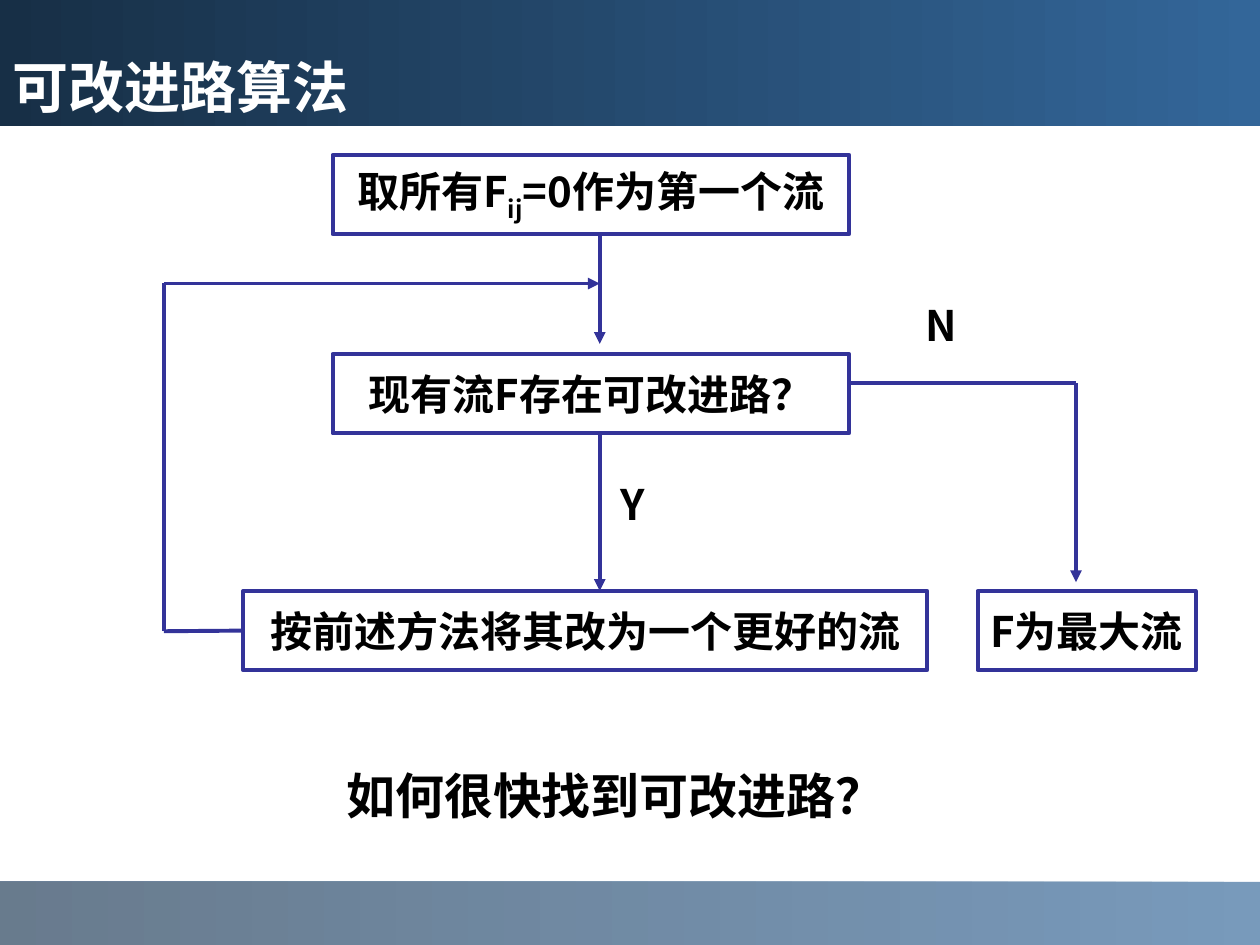
from dataclasses import dataclass

from lxml import etree
from pptx import Presentation
from pptx import util as u
from pptx.dml.color import RGBColor
from pptx.enum import shapes, text
from pptx.oxml.ns import qn


@dataclass(frozen=True)
class Theme:
    line: str = "333399"
    ink: str = "000000"
    white: str = "FFFFFF"
    blue: str = "336699"
    navy: str = "172F46"
    foot: str = "1B3753"
    head: str = "Lato"
    body: str = "Noto Sans CJK SC"
    serif: str = "Times New Roman"
    big: int = 32
    mid: int = 28
    base: int = 24
    width: float = 2.25


def rgb(code):
    return RGBColor.from_string(code)


class Deck:
    """Holds the theme and the current slide."""

    def __init__(self, theme):
        self.theme = theme
        self.prs = Presentation()
        self.prs.slide_width, self.prs.slide_height = u.Inches(10), u.Inches(7.5)
        self.slide = self.prs.slides.add_slide(self.prs.slide_layouts[5])

    def style(self, para, size, face, color):
        font = para.font
        font.size, font.name, font.bold = u.Pt(size), face, True
        font.color.rgb = rgb(color)

    def blend(self, shape, left, alpha=None):
        """Fill from blue on the right to a dark tone on the left."""
        shape.fill.gradient()
        shape.fill.gradient_angle = 180
        for stop, tone in zip(shape.fill.gradient_stops, (self.theme.blue, left)):
            stop.color.rgb = rgb(tone)
        if alpha:
            for tone in shape.fill._xPr.iter(qn("a:srgbClr")):
                etree.SubElement(tone, qn("a:alpha"), val=str(alpha * 1000))

    def title(self, words):
        shape = self.slide.shapes.title
        shape.left, shape.top = u.Inches(0), u.Inches(0)
        shape.width, shape.height = u.Inches(10), u.Inches(1)
        self.blend(shape, self.theme.navy)
        frame = shape.text_frame
        frame.text = words
        frame.vertical_anchor = text.MSO_ANCHOR.BOTTOM
        para = frame.paragraphs[0]
        para.alignment = text.PP_ALIGN.LEFT
        self.style(para, self.theme.big, self.theme.head, self.theme.white)

    def rect(self, x, y, w, h):
        shape = self.slide.shapes.add_shape(
            shapes.MSO_SHAPE.RECTANGLE, *map(u.Inches, (x, y, w, h)))
        shape.shadow.inherit = False
        return shape

    def band(self, y, h):
        shape = self.rect(0, y, 10, h)
        shape.line.fill.background()
        self.blend(shape, self.theme.foot, 66)

    def box(self, x, y, w, *parts):
        """Outlined step; every second part is set as a subscript."""
        shape = self.rect(x, y, w, 0.63)
        shape.fill.background()
        shape.line.color.rgb = rgb(self.theme.line)
        shape.line.width = u.Pt(self.theme.width)
        frame = shape.text_frame
        frame.word_wrap = False
        frame.vertical_anchor = text.MSO_ANCHOR.MIDDLE
        para = frame.paragraphs[0]
        para.alignment = text.PP_ALIGN.CENTER
        self.style(para, self.theme.base, self.theme.body, self.theme.ink)
        for i, part in enumerate(parts):
            run = para.add_run()
            run.text = part
            if i % 2:
                run.font._element.set("baseline", "-25000")
        return shape

    def label(self, x, y, w, h, words, size, face):
        shape = self.slide.shapes.add_textbox(*map(u.Inches, (x, y, w, h)))
        frame = shape.text_frame
        frame.word_wrap = False
        frame.text = words
        self.style(frame.paragraphs[0], size, face, self.theme.ink)

    def route(self, *points, arrow=True):
        """Straight lines through the points; the last may carry an arrow."""
        lines = []
        for start, end in zip(points, points[1:]):
            line = self.slide.shapes.add_connector(
                shapes.MSO_CONNECTOR.STRAIGHT, *map(u.Inches, start + end))
            line.line.color.rgb = rgb(self.theme.line)
            line.line.width = u.Pt(self.theme.width)
            etree.SubElement(line._element.spPr, qn("a:effectLst"))
            lines.append(line)
        if arrow:
            etree.SubElement(lines[-1].line._get_or_add_ln(),
                             qn("a:tailEnd"), type="triangle")
        return lines


def main():
    theme = Theme()
    deck = Deck(theme)

    # Title and footer bands
    deck.title("可改进路算法")
    deck.band(7, 0.5)

    # Steps
    deck.box(2.64, 1.23, 4.1, "取所有F", "ij", "=0作为第一个流")
    deck.box(2.64, 2.81, 4.1, "现有流F存在可改进路？")
    better = deck.box(1.93, 4.69, 5.43, "按前述方法将其改为一个更好的流")
    deck.box(7.76, 4.69, 1.73, "F为最大流")

    # Main flow, loop back and exit
    axis = 4.76
    deck.route((axis, 1.86), (axis, 2.73))
    deck.route((axis, 3.44), (axis, 4.69))
    loop = deck.route((1.93, 5.01), (1.3, 5.01), (1.3, 2.25), (axis, 2.25))
    loop[0].begin_connect(better, 1)
    deck.route((6.74, 3.04), (8.54, 3.04), (8.54, 4.62))

    # Branch labels and closing question
    deck.label(7.25, 2.33, 0.4, 0.5, "N", theme.base, theme.body)
    deck.label(4.83, 3.75, 0.4, 0.5, "Y", theme.base, theme.body)
    deck.label(2.65, 6.03, 4.47, 0.57, "如何很快找到可改进路？",
               theme.mid, theme.serif)

    deck.prs.save("out.pptx")


if __name__ == "__main__":
    main()
